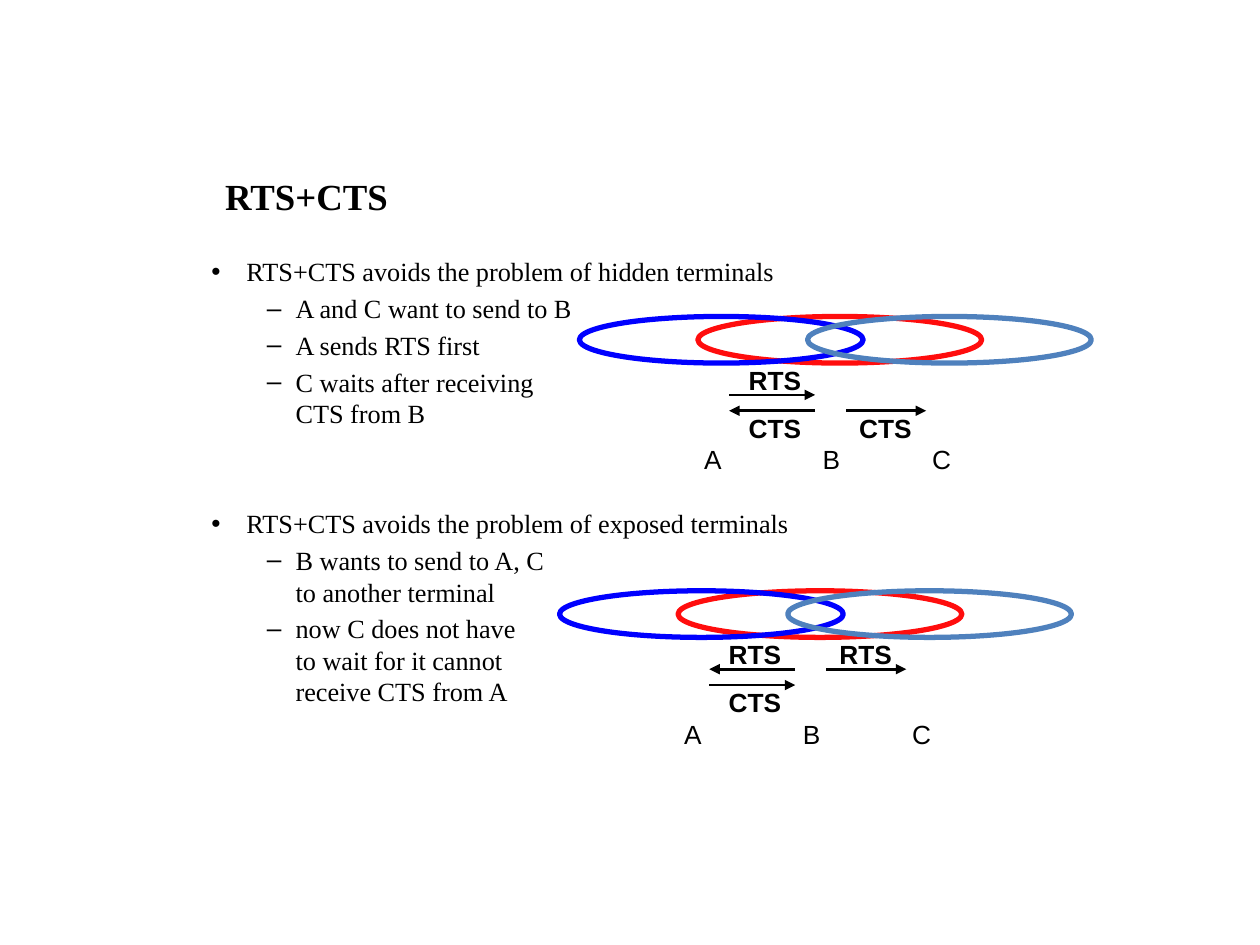
from dataclasses import dataclass

from lxml import etree
from pptx import Presentation
from pptx import util as u
from pptx.dml.color import RGBColor
from pptx.enum import shapes as sh, text as tx
from pptx.oxml.ns import qn

INK = {"black": "000000", "red": "FF0D0D", "blue": "0000FF", "steel": "4F81BD"}
SERIF, SANS = "Times New Roman", "Arial"


@dataclass
class Item:
    text: str
    level: int = 1
    before: float = 3


@dataclass
class Signal:
    name: str
    upper: bool  # upper row has its name above the arrow, lower row below
    near: bool  # between A and B, else between B and C
    right: bool


@dataclass
class Scene:
    left: float
    top: float
    signals: list[Signal]


ITEMS = [
    Item("RTS+CTS avoids the problem of hidden terminals", 0, 0),
    Item("A and C want to send to B"),
    Item("A sends RTS first"),
    Item("C waits after receiving \nCTS from B"),
    Item("RTS+CTS avoids the problem of exposed terminals", 0, 44.9),
    Item("B wants to send to A, C \nto another terminal"),
    Item("now C does not have \nto wait for it cannot \nreceive CTS from A"),
]
SCENES = [
    Scene(11.68, 6.38, [Signal("RTS", True, True, True),
                        Signal("CTS", False, True, False),
                        Signal("CTS", False, False, True)]),
    Scene(11.28, 11.91, [Signal("RTS", True, True, False),
                         Signal("CTS", False, True, True),
                         Signal("RTS", True, False, True)]),
]
RANGES = [("red", 2.39), ("blue", 0), ("steel", 4.6)]
NODES = [("A", 2.69), ("B", 5.08), ("C", 7.3)]
# Indent and hanging part in cm, and the bullet, for each level
LEVELS = [(0.71, 0.71, "•"), (1.7, 0.58, "–")]


def color(name: str) -> RGBColor:
    return RGBColor.from_string(INK[name])


def style(par, face: str, size: float, bold: bool = False) -> None:
    font = par.font
    font.name, font.size, font.bold = face, u.Pt(size), bold
    font.color.rgb = color("black")


def add_box(slide, left: float, top: float, wide: float, high: float):
    box = slide.shapes.add_textbox(u.Cm(left), u.Cm(top), u.Cm(wide), u.Cm(high))
    box.text_frame.word_wrap = True
    return box.text_frame


def add_label(slide, name: str, x: float, y: float, wide: float, bold: bool) -> None:
    """Centre a short label on the point x, y."""
    high = 0.89
    frame = add_box(slide, x - wide / 2, y - high / 2, wide, high)
    frame.word_wrap = False
    frame.vertical_anchor = tx.MSO_ANCHOR.MIDDLE
    par = frame.paragraphs[0]
    par.text, par.alignment = name, tx.PP_ALIGN.CENTER
    style(par, SANS, 15, bold)


def add_range(slide, hue: str, left: float, top: float) -> None:
    oval = slide.shapes.add_shape(
        sh.MSO_SHAPE.OVAL, u.Cm(left), u.Cm(top), u.Cm(5.72), u.Cm(0.94))
    oval.shadow.inherit = False
    oval.fill.background()
    oval.line.color.rgb, oval.line.width = color(hue), u.Pt(3)


def add_arrow(slide, start: float, end: float, y: float) -> None:
    arrow = slide.shapes.add_connector(
        sh.MSO_CONNECTOR.STRAIGHT, u.Cm(start), u.Cm(y), u.Cm(end), u.Cm(y))
    arrow.line.color.rgb, arrow.line.width = color("black"), u.Pt(1.5)
    line = arrow.line._get_or_add_ln()
    etree.SubElement(line, qn("a:tailEnd"), type="triangle")
    etree.SubElement(arrow._element.spPr, qn("a:effectLst"))


def add_signal(slide, scene: Scene, sig: Signal) -> None:
    ends = (3.02, 4.75) if sig.near else (5.38, 6.99)
    start, end = ends if sig.right else ends[::-1]
    line, name = (1.58, 1.28) if sig.upper else (1.9, 2.25)
    add_arrow(slide, scene.left + start, scene.left + end, scene.top + line)
    mid = 3.94 if sig.near else 6.17
    add_label(slide, sig.name, scene.left + mid, scene.top + name, 1.57, True)


def add_scene(slide, scene: Scene) -> None:
    for hue, left in RANGES:
        add_range(slide, hue, scene.left + left, scene.top)
    for name, mid in NODES:
        add_label(slide, name, scene.left + mid, scene.top + 2.88, 0.88, False)
    for sig in scene.signals:
        add_signal(slide, scene, sig)


def add_title(slide) -> None:
    frame = add_box(slide, 4.29, 3.33, 16.2, 1.24)
    frame.vertical_anchor = tx.MSO_ANCHOR.MIDDLE
    par = frame.paragraphs[0]
    par.text = "RTS+CTS"
    style(par, SERIF, 21, True)


def add_list(slide) -> None:
    frame = add_box(slide, 4.01, 5.03, 16.2, 10.64)
    for i, item in enumerate(ITEMS):
        par = frame.add_paragraph() if i else frame.paragraphs[0]
        par.text, par.level = item.text, item.level
        par.space_before = u.Pt(item.before)
        indent, hang, mark = LEVELS[item.level]
        props = par._p.get_or_add_pPr()
        props.set("marL", str(u.Cm(indent)))
        props.set("indent", str(-u.Cm(hang)))
        etree.SubElement(props, qn("a:buFont"), typeface=SANS)
        etree.SubElement(props, qn("a:buChar"), char=mark)
        style(par, SERIF, 15)


def main() -> None:
    deck = Presentation()
    deck.slide_width, deck.slide_height = u.Cm(25.4), u.Cm(19.05)
    slide = deck.slides.add_slide(deck.slide_layouts[6])
    add_list(slide)
    add_title(slide)
    for scene in SCENES:
        add_scene(slide, scene)
    deck.save("out.pptx")


if __name__ == "__main__":
    main()
